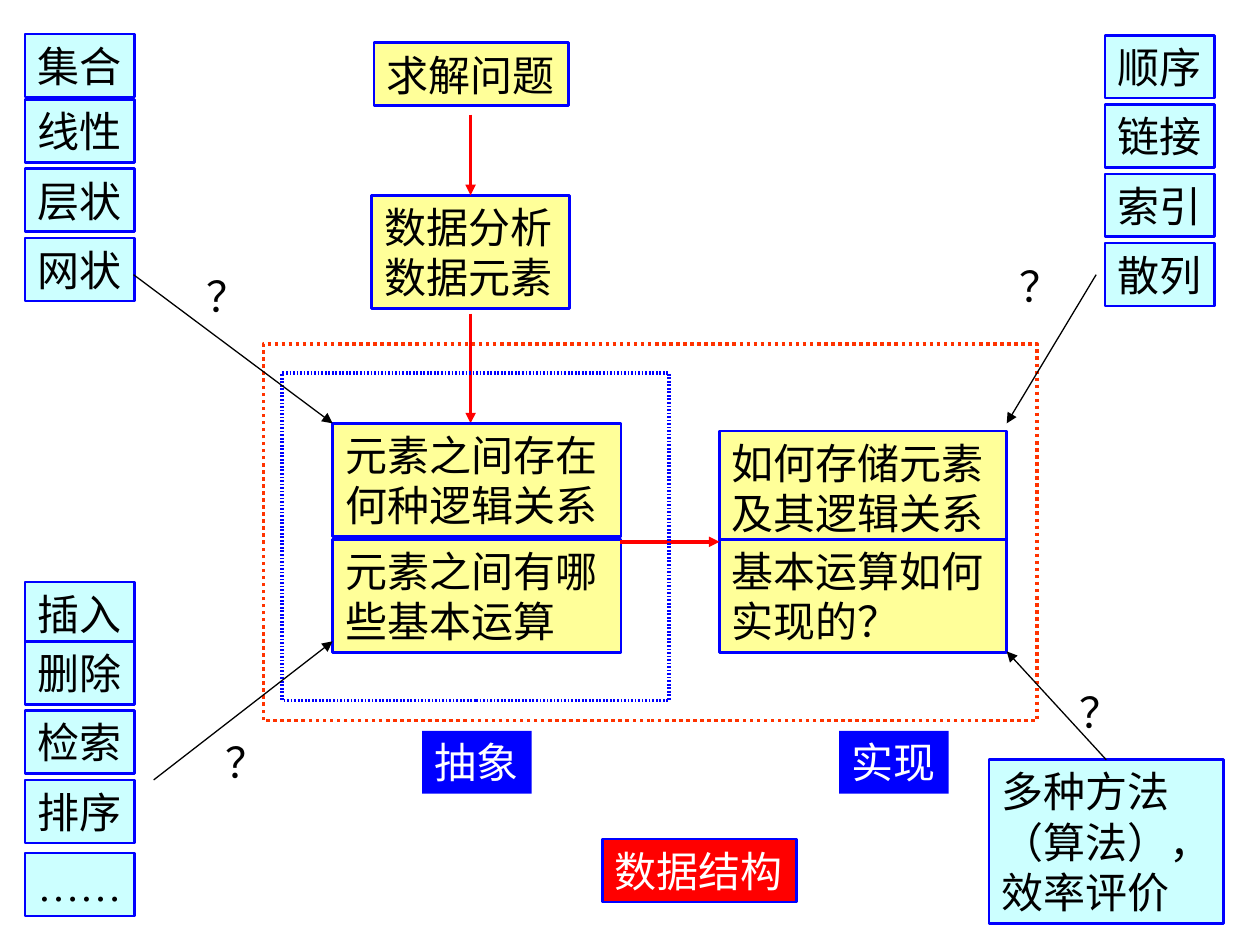
import dataclasses

import pptx
import pptx.dml.color
import pptx.enum.dml
import pptx.enum.shapes
import pptx.enum.text
import pptx.oxml.ns
import pptx.util
from lxml import etree

Inches = pptx.util.Inches
Pt = pptx.util.Pt
RGB = pptx.dml.color.RGBColor.from_string
qn = pptx.oxml.ns.qn
DOT = pptx.enum.dml.MSO_LINE.ROUND_DOT
RECT = pptx.enum.shapes.MSO_SHAPE.RECTANGLE


@dataclasses.dataclass(frozen=True)
class Theme:
    font: str = "Times New Roman"
    size: float = 24
    ink: str = "000000"
    white: str = "FFFFFF"
    blue: str = "0000FF"
    red: str = "FF0000"
    orange: str = "FF3300"
    step: str = "FFFF99"
    option: str = "CCFFFF"
    border: float = 1.5
    heavy: float = 2
    thin: float = 0.75


THEME = Theme()
ROW_H = 0.5    # one-line box
PAIR_H = 0.9   # two-line box
WORD_W = 0.87  # box for a two-character word
BODY = {
    "margin_left": Inches(0.1), "margin_right": Inches(0.1),
    "margin_top": Inches(0.05), "margin_bottom": Inches(0.05),
    "vertical_anchor": pptx.enum.text.MSO_ANCHOR.TOP,
    "auto_size": pptx.enum.text.MSO_AUTO_SIZE.SHAPE_TO_FIT_TEXT,
}


def set_attrs(obj, values):
    for name, value in values.items():
        setattr(obj, name, value)


def write(sp, text, color, wrap):
    tf = sp.text_frame
    set_attrs(tf, {**BODY, "word_wrap": wrap})
    for i, line in enumerate(text.split("\n")):
        p = tf.paragraphs[0] if i == 0 else tf.add_paragraph()
        p.alignment = pptx.enum.text.PP_ALIGN.LEFT
        r = p.add_run()
        r.text = line
        set_attrs(r.font, {"name": THEME.font, "size": Pt(THEME.size)})
        r.font.color.rgb = RGB(color)


def add_rect(s, box, fill=None, line=None, width=THEME.border):
    sp = s.shapes.add_shape(RECT, *map(Inches, box))
    sp.shadow.inherit = False
    if fill:
        sp.fill.solid()
        sp.fill.fore_color.rgb = RGB(fill)
    else:
        sp.fill.background()
    if line:
        sp.line.color.rgb = RGB(line)
        sp.line.width = Pt(width)
    else:
        sp.line.fill.background()
    return sp


def add_box(s, box, text, fill, line=THEME.blue, color=THEME.ink, wrap=False):
    sp = add_rect(s, box, fill, line)
    write(sp, text, color, wrap)
    return sp


def add_arrow(s, start, end, color, width):
    cx = s.shapes.add_connector(pptx.enum.shapes.MSO_CONNECTOR.STRAIGHT,
                                *map(Inches, start + end))
    cx.line.color.rgb = RGB(color)
    cx.line.width = Pt(width)
    etree.SubElement(cx.line._get_or_add_ln(), qn("a:tailEnd"), type="triangle")
    etree.SubElement(cx._element.spPr, qn("a:effectLst"))
    return cx


def add_question(s, x, y):
    sp = s.shapes.add_textbox(*map(Inches, (x, y, 0.53, ROW_H)))
    write(sp, "？", THEME.ink, False)


def add_options(s, x, y, labels, offsets):
    """Column of option boxes; offsets run down from its top."""
    for label, dy in zip(labels, offsets):
        add_box(s, (x, y + dy, WORD_W, ROW_H), label, THEME.option)


def add_analysis(s, box):
    """Problem, then data analysis, then an arrow into the structure."""
    x, y, w = box
    add_box(s, (x + 0.02, y, w - 0.03, ROW_H), "求解问题", THEME.step)
    data = add_box(s, (x, y + 1.21, w, PAIR_H), "数据分析\n数据元素",
                   THEME.step, wrap=True)
    mid = x + w / 2
    cx = add_arrow(s, (mid, y + 0.57), (mid, y + 1.21), THEME.red, THEME.heavy)
    cx.end_connect(data, 0)
    add_arrow(s, (mid, y + 2.15), (mid, y + 3.02), THEME.red, THEME.heavy)


def add_structure(s, box):
    """Abstract and implemented sides inside the dotted frames."""
    x, y, w, h = box
    sides = [
        (0.55, 2.29, (0.63, 1.55), "元素之间存在何种逻辑关系", "元素之间有哪些基本运算"),
        (3.62, 2.28, (0.69, 1.55), "如何存储元素及其逻辑关系", "基本运算如何实现的？"),
    ]
    for dx, side_w, tops, *texts in sides:
        for dy, text in zip(tops, texts):
            add_box(s, (x + dx, y + dy, side_w, PAIR_H), text, THEME.step,
                    wrap=True)
    add_arrow(s, (x + 2.83, y + 1.57), (x + 3.62, y + 1.57),
              THEME.red, THEME.heavy)

    # Inner frame has finer dots than the outer one
    inner = add_rect(s, (x + 0.15, y + 0.23, w / 2, 2.6), line=THEME.blue,
                     width=THEME.heavy)
    dash = etree.SubElement(inner.line._get_or_add_ln(), qn("a:custDash"))
    etree.SubElement(dash, qn("a:ds"), d="50000", sp="50000")
    outer = add_rect(s, box, line=THEME.orange, width=THEME.heavy)
    outer.line.dash_style = DOT

    # Captions under the frames
    for dx, label in ((1.26, "抽象"), (4.57, "实现")):
        add_box(s, (x + dx, y + 3.07, WORD_W, ROW_H), label, THEME.blue,
                line=None, color=THEME.white)
    add_box(s, (x + 2.69, y + 3.93, 1.54, ROW_H), "数据结构", THEME.red,
            color=THEME.white)


def add_evaluation(s, box):
    """Algorithm note with its arrow back to the implementation."""
    x, y, w, h = box
    note = add_box(s, box, "多种方法\n（算法），\n效率评价", THEME.option, wrap=True)
    cx = add_arrow(s, (x + w / 2, y), (x + 0.14, y - 0.86),
                   THEME.ink, THEME.thin)
    cx.begin_connect(note, 0)


def main():
    prs = pptx.Presentation()
    set_attrs(prs, {"slide_width": Inches(10), "slide_height": Inches(7.5)})
    s = prs.slides.add_slide(prs.slide_layouts[6])

    add_analysis(s, (2.95, 0.34, 1.57))
    add_structure(s, (2.09, 2.73, 6.14, 2.99))

    # Logical relations, storage forms and operations
    add_options(s, 0.2, 0.27, ["集合", "线性", "层状", "网状"],
                [0, 0.52, 1.07, 1.62])
    add_options(s, 8.77, 0.28, ["顺序", "链接", "索引", "散列"],
                [i * 0.55 for i in range(4)])
    add_options(s, 0.2, 4.62, ["插入", "删除", "检索", "排序", "……"],
                [0, 0.47, 1.02, 1.57, 2.15])
    add_evaluation(s, (7.85, 6.03, 1.86, 1.3))

    # Open questions from the options to the structure
    for start, end in (((1.06, 2.18), (2.64, 3.36)),
                       ((8.7, 2.18), (7.99, 3.36)),
                       ((1.22, 6.19), (2.64, 5.09))):
        add_arrow(s, start, end, THEME.ink, THEME.thin)
    for x, y in ((1.54, 2.1), (7.99, 2.02), (1.69, 5.8), (8.47, 5.4)):
        add_question(s, x, y)

    prs.save("out.pptx")


if __name__ == "__main__":
    main()
